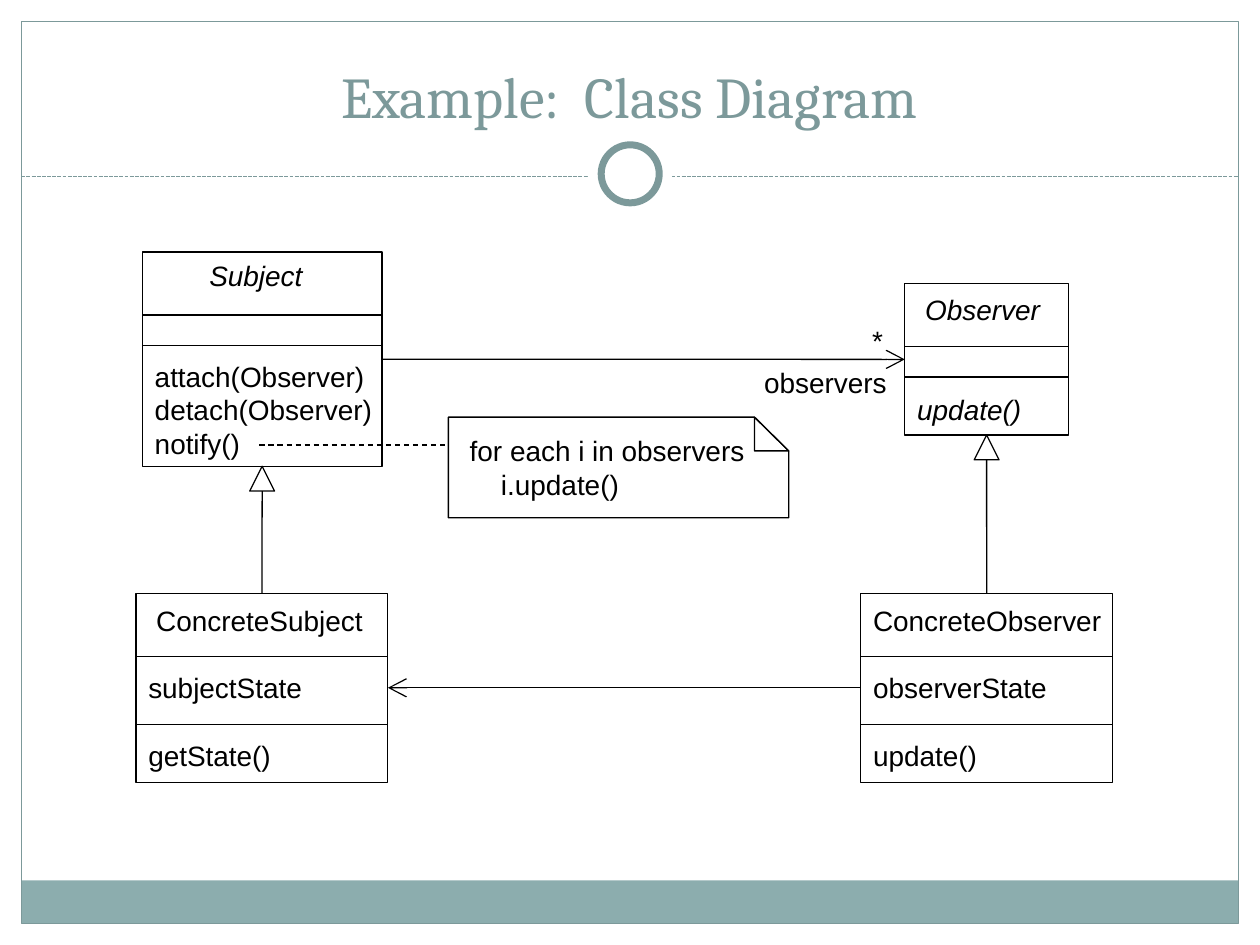
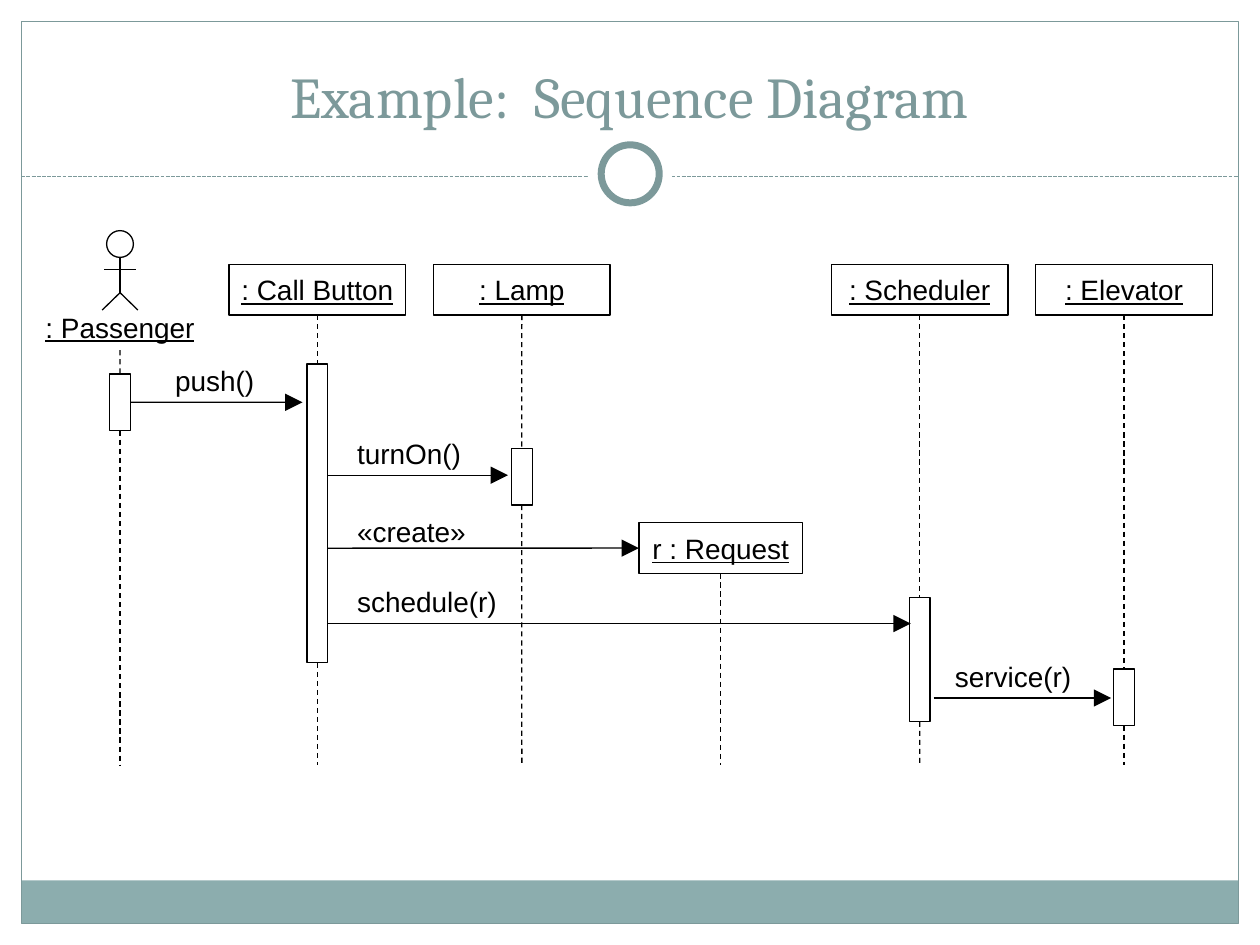
"""Build two UML example slides: a class diagram and a sequence diagram."""
from lxml.etree import SubElement
from pptx import Presentation
from pptx.dml.color import RGBColor
from pptx.enum.dml import MSO_LINE
from pptx.enum.shapes import MSO_CONNECTOR, MSO_SHAPE
from pptx.enum.text import MSO_ANCHOR, PP_ALIGN
from pptx.oxml.ns import qn
from pptx.util import Cm, Pt

COLORS = {"ink": "000000", "teal": "7C999A", "band": "8CADAE", "paper": "FFFFFF"}
TOP, LEFT, BOTTOM, RIGHT = range(4)


def style_box(box, text="", fill=None, line="ink", weight=0.75, align=PP_ALIGN.CENTER,
              anchor=MSO_ANCHOR.MIDDLE, inset=0, font="Arial", size=16, color="ink", underline=None):
    """Set the fill, outline and text of a shape or text box."""
    box.shadow.inherit = False
    if fill:
        box.fill.solid()
        box.fill.fore_color.rgb = RGBColor.from_string(COLORS[fill])
    else:
        box.fill.background()
    if line:
        box.line.color.rgb = RGBColor.from_string(COLORS[line])
        box.line.width = Pt(weight)
    else:
        box.line.fill.background()
    if text:
        frame = box.text_frame
        frame.text = text
        frame.word_wrap = True
        frame.vertical_anchor = anchor
        frame.margin_left, frame.margin_right = Cm(inset), 0
        for paragraph in frame.paragraphs:
            paragraph.alignment = align
            paragraph.line_spacing = Pt(size * 1.2)
            for span in paragraph.runs:
                span.font.name = font
                span.font.size = Pt(size)
                span.font.underline = underline
                span.font.color.rgb = RGBColor.from_string(COLORS[color])
    return box


def add_line(page, start, end, color="ink", dash=None, head=None):
    """Draw a line between two ends, each (x, y) in centimetres or (shape, side)."""
    line = page.shapes.add_connector(MSO_CONNECTOR.STRAIGHT, 0, 0, 0, 0)
    if isinstance(start[0], (int, float)):
        line.begin_x, line.begin_y = map(Cm, start)
    else:
        line.begin_connect(*start)
    if isinstance(end[0], (int, float)):
        line.end_x, line.end_y = map(Cm, end)
    else:
        line.end_connect(*end)
    line.line.color.rgb = RGBColor.from_string(COLORS[color])
    line.line.width = Pt(0.75)
    if dash:
        line.line.dash_style = dash
    properties = line._element.spPr
    if head:
        SubElement(properties.find(qn("a:ln")), qn("a:tailEnd"), type=head, w="lg", len="lg")
    SubElement(properties, qn("a:effectLst"))


deck = Presentation()
deck.slide_width, deck.slide_height = Cm(25.4), Cm(19.05)

pages = []
for title in ("Example:  Class Diagram", "Example:  Sequence Diagram"):
    page = deck.slides.add_slide(deck.slide_layouts[6])
    pages.append(page)
    band = page.shapes.add_shape(MSO_SHAPE.RECTANGLE, *map(Cm, (0.43, 17.75, 24.54, 0.86)))
    style_box(band, fill="band", line=None)
    border = page.shapes.add_shape(MSO_SHAPE.RECTANGLE, *map(Cm, (0.43, 0.43, 24.54, 18.19)))
    style_box(border, line="teal")
    add_line(page, (0.43, 3.56), (24.97, 3.56), color="teal", dash=MSO_LINE.SQUARE_DOT)
    gap = page.shapes.add_shape(MSO_SHAPE.OVAL, *map(Cm, (11.85, 2.67, 1.7, 1.7)))
    style_box(gap, fill="paper", line=None)
    ring = page.shapes.add_shape(MSO_SHAPE.OVAL, *map(Cm, (12.12, 2.92, 1.17, 1.17)))
    style_box(ring, fill="paper", line="teal", weight=4)
    heading = page.shapes.add_textbox(*map(Cm, (0.84, 0.64, 23.7, 2.11)))
    style_box(heading, title, line=None, anchor=MSO_ANCHOR.BOTTOM, font="Cambria", size=33, color="teal")

class_page, sequence_page = pages

# Each row is (text, blank lines above, italic).
class_specs = [
    (2.87, 5.08, 4.83, 4.32, 1.88, 1.1,
     [("Subject", 0, True), ("attach(Observer)", 2, False), ("detach(Observer)", 0, False),
      ("notify()", 0, False)]),
    (18.24, 5.72, 3.3, 3.05, 1.88, 0.16, [("Observer", 0, True), ("update()", 2, True)]),
    (2.74, 11.96, 5.08, 3.81, 2.64, 0.16,
     [("ConcreteSubject", 0, False), ("subjectState", 1, False), ("getState()", 1, False)]),
    (17.35, 11.96, 5.08, 3.81, 2.64, 0,
     [("ConcreteObserver", 0, False), ("observerState", 1, False), ("update()", 1, False)]),
]
classes = []
for x, y, width, height, second_divider, name_indent, rows in class_specs:
    box = class_page.shapes.add_shape(MSO_SHAPE.RECTANGLE, *map(Cm, (x, y, width, height)))
    style_box(box, "\n".join(row[0] for row in rows), align=PP_ALIGN.LEFT, inset=0.25)
    paragraphs = box.text_frame.paragraphs
    paragraphs[0]._p.get_or_add_pPr().set("marL", str(Cm(name_indent)))
    for paragraph, (_, blank_lines, italic) in zip(paragraphs, rows):
        if blank_lines:
            paragraph.space_before = Pt(19.2 * blank_lines)
        paragraph.runs[0].font.italic = italic
    for offset in (1.27, second_divider):
        add_line(class_page, (x, y + offset), (x + width, y + offset))
    classes.append(box)

subject, observer, concrete_subject, concrete_observer = classes
for parent, child in ((subject, concrete_subject), (observer, concrete_observer)):
    center = parent.left.cm + parent.width.cm / 2
    bottom = parent.top.cm + parent.height.cm
    triangle = class_page.shapes.add_shape(
        MSO_SHAPE.ISOSCELES_TRIANGLE, *map(Cm, (center - 0.25, bottom, 0.5, 0.5)))
    style_box(triangle)
    add_line(class_page, (child, TOP), (center, bottom + 0.5))

add_line(class_page, (subject, RIGHT), (observer, LEFT), head="arrow")
add_line(class_page, (concrete_observer, LEFT), (concrete_subject, RIGHT), head="arrow")
for text, x, y, width in (("*", 17.32, 6.4, 0.74), ("observers", 15.14, 7.24, 3)):
    label = class_page.shapes.add_textbox(*map(Cm, (x, y, width, 0.94)))
    style_box(label, text, line=None)

outline = class_page.shapes.build_freeform(Cm(9.04), Cm(8.41))
outline.add_line_segments([(Cm(x), Cm(y)) for x, y in (
    (15.21, 8.41), (15.9, 9.09), (15.9, 10.44), (9.04, 10.44))])
note = style_box(outline.convert_to_shape(), "for each i in observers\ni.update()",
                 align=PP_ALIGN.LEFT, inset=0.43)
note.text_frame.paragraphs[1]._p.get_or_add_pPr().set("marL", str(Cm(0.63)))
fold = class_page.shapes.add_shape(MSO_SHAPE.RIGHT_TRIANGLE, *map(Cm, (15.21, 8.41, 0.69, 0.68)))
style_box(fold)
add_line(class_page, (5.23, 8.97), (9.04, 8.97), dash=MSO_LINE.DASH)

actor_x = 2.42
actor_head = sequence_page.shapes.add_shape(
    MSO_SHAPE.OVAL, *map(Cm, (actor_x - 0.27, 4.65, 0.54, 0.54)))
style_box(actor_head)
for start, end in (((-0.32, 5.43), (0.32, 5.43)), ((0, 5.19), (0, 5.9)),
                   ((0, 5.9), (-0.36, 6.25)), ((0, 5.9), (0.36, 6.25))):
    add_line(sequence_page, (actor_x + start[0], start[1]), (actor_x + end[0], end[1]))

participants = [
    (": Passenger", actor_x, 6.12, 3.56, 0.94, (7.54, 1.14)),
    (": Call Button", 6.4, 5.33, 3.56, 1.02, (7.34, 6.02)),
    (": Lamp", 10.52, 5.33, 3.56, 1.02, (9.04, 1.14)),
    ("r : Request", 14.53, 10.54, 3.3, 1.02, None),
    (": Scheduler", 18.54, 5.33, 3.56, 1.02, (12.04, 2.51)),
    (": Elevator", 22.66, 5.33, 3.56, 1.02, (13.49, 1.14)),
]
heads, activations = {}, {}
for name, center, top, width, height, active in participants:
    place = list(map(Cm, (center - width / 2, top, width, height)))
    if name == ": Passenger":
        head = sequence_page.shapes.add_textbox(*place)
        style_box(head, name, line=None, underline=True)
    else:
        head = sequence_page.shapes.add_shape(MSO_SHAPE.RECTANGLE, *place)
        style_box(head, name, underline=True)
    heads[name] = lifeline_start = head
    if active:
        bar = sequence_page.shapes.add_shape(
            MSO_SHAPE.RECTANGLE, *map(Cm, (center - 0.21, active[0], 0.42, active[1])))
        activations[name] = lifeline_start = style_box(bar)
        add_line(sequence_page, (head, BOTTOM), (bar, TOP), dash=MSO_LINE.DASH)
    add_line(sequence_page, (lifeline_start, BOTTOM), (center, 15.42), dash=MSO_LINE.DASH)

messages = [
    ("push()", 3.53, 7.2, (activations[": Passenger"], RIGHT), (6.1, 8.11)),
    ("turnOn()", 7.2, 8.67, (6.6, 9.58), (10.24, 9.58)),
    ("«create»", 7.2, 10.24, (6.6, 11.05), (heads["r : Request"], LEFT)),
    ("schedule(r)", 7.2, 11.66, (6.6, 12.57), (18.36, 12.57)),
    ("service(r)", 19.25, 13.16, (18.82, 14.07), (22.4, 14.07)),
]
for text, x, y, start, end in messages:
    label = sequence_page.shapes.add_textbox(*map(Cm, (x, y, 3, 0.94)))
    style_box(label, text, line=None, align=PP_ALIGN.LEFT)
    add_line(sequence_page, start, end, head="triangle")

deck.save("out.pptx")
